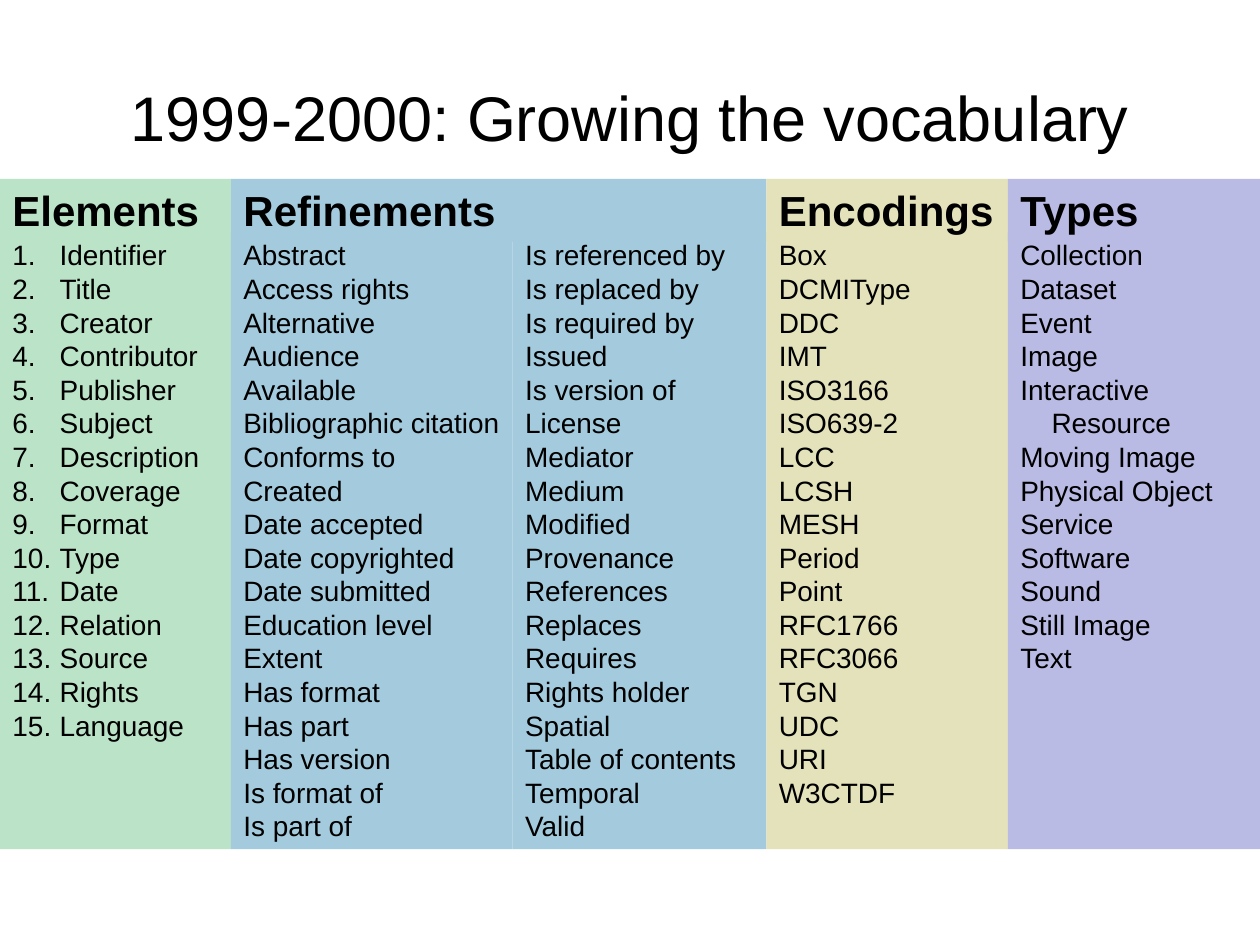
from lxml.etree import SubElement
from pptx import Presentation
from pptx.dml.color import RGBColor
from pptx.enum.shapes import MSO_SHAPE
from pptx.enum.text import MSO_ANCHOR, PP_ALIGN
from pptx.oxml.ns import qn
from pptx.util import Pt

BLACK = RGBColor(0x00, 0x00, 0x00)
GREEN = RGBColor(0xBB, 0xE3, 0xC7)
BLUE = RGBColor(0xA3, 0xCB, 0xDD)
SAND = RGBColor(0xE4, 0xE2, 0xBA)
LILAC = RGBColor(0xB9, 0xBB, 0xE5)

HEADING_TOP, HEADING_HEIGHT = 102.2, 36
LIST_TOP, LIST_HEIGHT = 132.5, 352.8
NUMBER_INDENT = 27
CONTINUATION_INDENT = 17.8

ELEMENTS = [
    "Identifier", "Title", "Creator", "Contributor", "Publisher", "Subject",
    "Description", "Coverage", "Format", "Type", "Date", "Relation", "Source",
    "Rights", "Language",
]
REFINEMENTS_A_TO_I = [
    "Abstract", "Access rights", "Alternative", "Audience", "Available",
    "Bibliographic citation", "Conforms to", "Created", "Date accepted",
    "Date copyrighted", "Date submitted", "Education level", "Extent",
    "Has format", "Has part", "Has version", "Is format of", "Is part of",
]
REFINEMENTS_I_TO_V = [
    "Is referenced by", "Is replaced by", "Is required by", "Issued",
    "Is version of", "License", "Mediator", "Medium", "Modified",
    "Provenance", "References", "Replaces", "Requires", "Rights holder",
    "Spatial", "Table of contents", "Temporal", "Valid",
]
ENCODINGS = [
    "Box", "DCMIType", "DDC", "IMT", "ISO3166", "ISO639-2", "LCC", "LCSH",
    "MESH", "Period", "Point", "RFC1766", "RFC3066", "TGN", "UDC", "URI",
    "W3CTDF",
]
TYPES = [
    "Collection", "Dataset", "Event", "Image", "Interactive", "Resource",
    "Moving Image", "Physical Object", "Service", "Software", "Sound",
    "Still Image", "Text",
]
CONTINUATIONS = {"Resource"}

# Heading, fill, left edge, then each list with its width
SECTIONS = [
    ("Elements", GREEN, 0, [(ELEMENTS, 132)]),
    ("Refinements", BLUE, 132,
     [(REFINEMENTS_A_TO_I, 161), (REFINEMENTS_I_TO_V, 145)]),
    ("Encodings", SAND, 438, [(ENCODINGS, 138)]),
    ("Types", LILAC, 576, [(TYPES, 144)]),
]


class VocabularySlide:
    font_name = "Arial"
    title_size, heading_size, item_size = 36, 24, 16
    line_factor = 1.2

    def __init__(self, presentation):
        self.slide = presentation.slides.add_slide(presentation.slide_layouts[5])

    def add_text(self, paragraph, text, size, bold=False, align=PP_ALIGN.LEFT):
        paragraph.alignment = align
        paragraph.line_spacing = Pt(size * self.line_factor)
        run = paragraph.add_run()
        run.text = text
        run.font.name = self.font_name
        run.font.size = Pt(size)
        run.font.bold = bold
        run.font.color.rgb = BLACK

    def indent(self, paragraph, left, numbered=False):
        properties = paragraph._p.get_or_add_pPr()
        properties.set("marL", str(Pt(left)))
        if numbered:
            properties.set("indent", str(-Pt(left)))
            SubElement(properties, qn("a:buFont"), typeface=self.font_name)
            SubElement(properties, qn("a:buAutoNum"), type="arabicPeriod")

    def title(self, text):
        title = self.slide.shapes.title
        title.left, title.top = Pt(36), Pt(21.6)
        title.width, title.height = Pt(648), Pt(90)
        title.text_frame.vertical_anchor = MSO_ANCHOR.MIDDLE
        self.add_text(title.text_frame.paragraphs[0], text, self.title_size,
                      align=PP_ALIGN.CENTER)

    def panel(self, left, top, width, height, fill):
        panel = self.slide.shapes.add_shape(
            MSO_SHAPE.RECTANGLE, Pt(left), Pt(top), Pt(width), Pt(height))
        panel.shadow.inherit = False
        panel.fill.solid()
        panel.fill.fore_color.rgb = fill
        panel.line.fill.background()
        panel.text_frame.word_wrap = True
        panel.text_frame.vertical_anchor = MSO_ANCHOR.TOP
        return panel.text_frame

    def heading(self, text, left, width, fill):
        frame = self.panel(left, HEADING_TOP, width, HEADING_HEIGHT, fill)
        self.add_text(frame.paragraphs[0], text, self.heading_size, bold=True)

    def term_list(self, terms, left, width, fill, numbered=False):
        frame = self.panel(left, LIST_TOP, width, LIST_HEIGHT, fill)
        for index, term in enumerate(terms):
            paragraph = frame.add_paragraph() if index else frame.paragraphs[0]
            if numbered:
                self.indent(paragraph, NUMBER_INDENT, numbered=True)
            elif term in CONTINUATIONS:
                self.indent(paragraph, CONTINUATION_INDENT)
            self.add_text(paragraph, term, self.item_size)


def main():
    presentation = Presentation()
    presentation.slide_width, presentation.slide_height = Pt(720), Pt(540)
    vocabulary = VocabularySlide(presentation)
    vocabulary.title("1999-2000: Growing the vocabulary")

    # Coloured sections: the lists side by side, then the heading over them
    for heading, fill, section_left, lists in SECTIONS:
        left = section_left
        for terms, width in lists:
            vocabulary.term_list(terms, left, width, fill,
                                 numbered=terms is ELEMENTS)
            left += width
        vocabulary.heading(heading, section_left, left - section_left, fill)

    presentation.save("out.pptx")


if __name__ == "__main__":
    main()
